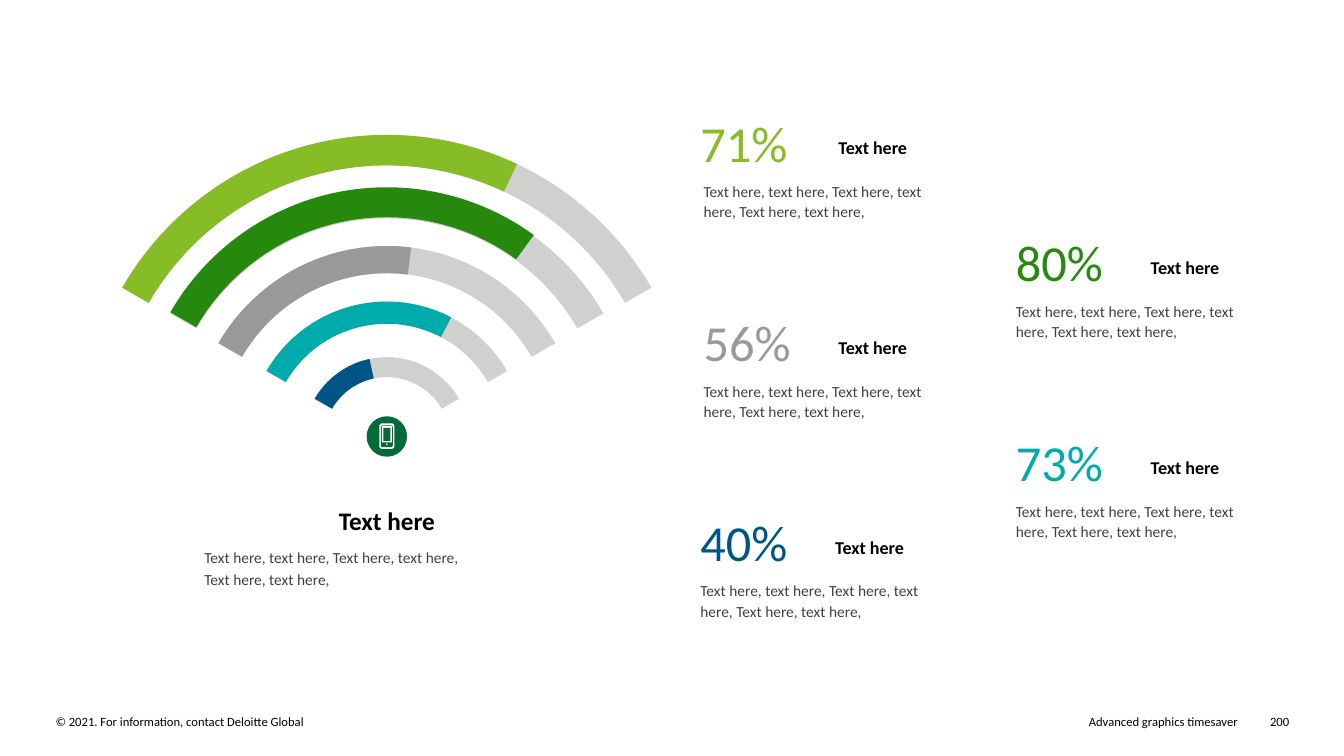
from pptx import Presentation
from pptx.dml.color import RGBColor
from pptx.enum.shapes import MSO_SHAPE as Shape
from pptx.enum.text import MSO_ANCHOR as Anchor, PP_ALIGN as Align
from pptx.util import Cm, Pt

BLACK = RGBColor(0x00, 0x00, 0x00)
WHITE = RGBColor(0xFF, 0xFF, 0xFF)
BODY = RGBColor(0x40, 0x40, 0x40)
TRACK = RGBColor(0xD0, 0xD0, 0xCE)
LIME = RGBColor(0x86, 0xBC, 0x25)
GREEN = RGBColor(0x26, 0x89, 0x0D)
GRAY = RGBColor(0x97, 0x99, 0x9B)
TEAL = RGBColor(0x00, 0xAB, 0xAB)
BLUE = RGBColor(0x00, 0x55, 0x87)
DARK_GREEN = RGBColor(0x04, 0x6A, 0x38)

FONT = "Calibri"
HEADING = "Text here"
BLURB = "Text here, text here, Text here, text here, Text here, text here,"
CENTER_X = 9.75
ARC_START, ARC_SWEEP = 126, 72

# percent, colour, band thickness, track centre y, value centre y, number x, text x
SIGNALS = [
    (71, LIME, 0.05, 11.1, 11.1, 17.4, 17.48),
    (80, GREEN, 0.06, 11.05, 11.02, 25.35, 25.35),
    (56, GRAY, 0.07, 11.1, 11.1, 17.48, 17.48),
    (73, TEAL, 0.08, 11.1, 11.1, 25.35, 25.35),
    (40, BLUE, 0.12, 11.1, 11.1, 17.4, 17.4),
]


def add_text(page, at, lines, size, color, bold=False, align=Align.LEFT,
             spacing=None, anchor=Anchor.TOP, inset=True):
    """Add a wrapped text box with one paragraph per line."""
    box = page.shapes.add_textbox(*map(Cm, at))
    frame = box.text_frame
    frame.word_wrap = True
    frame.vertical_anchor = anchor
    if not inset:
        frame.margin_left = frame.margin_right = 0
        frame.margin_top = frame.margin_bottom = 0
    frame.text = "\n".join(lines)
    for para in frame.paragraphs:
        para.alignment = align
        para.line_spacing = spacing
        para.font.name = FONT
        para.font.size = Pt(size)
        para.font.bold = bold
        para.font.color.rgb = color


def add_filled(page, kind, at, color):
    """Add a flat, borderless preset shape."""
    shape = page.shapes.add_shape(kind, *map(Cm, at))
    shape.shadow.inherit = False
    shape.fill.solid()
    shape.fill.fore_color.rgb = color
    shape.line.fill.background()
    return shape


def add_arc(page, diameter, center_y, percent, thickness, color):
    """Add a band covering a percentage of the signal sweep."""
    at = (CENTER_X - diameter / 2, center_y - diameter / 2, diameter, diameter)
    arc = add_filled(page, Shape.BLOCK_ARC, at, color)
    arc.adjustments[0] = ARC_START
    arc.adjustments[1] = ARC_START + ARC_SWEEP * percent / 100
    arc.adjustments[2] = thickness


def add_readout(page, index, percent, color, number_x, text_x):
    """Add a percentage with its heading and blurb."""
    top = 4.42 + 5.03 * (index // 2) + 3.02 * (index % 2)
    add_text(page, (text_x, top, 6.2, 1.32), [BLURB], 11, BODY, spacing=1.1)
    add_text(page, (number_x, top - 1.73, 4.67, 1.88), [f"{percent}%"], 36, color)
    add_text(page, (text_x + 3.4, top - 1.07, 3.35, 0.74), [HEADING], 12.9, BLACK,
             bold=True, anchor=Anchor.MIDDLE)


def add_phone_badge(page):
    """Add the round badge with a phone outline."""
    layers = [
        (Shape.OVAL, 10.49, 1.02, 1.02, DARK_GREEN),
        (Shape.ROUNDED_RECTANGLE, 10.67, 0.38, 0.64, WHITE),
        (Shape.ROUNDED_RECTANGLE, 10.72, 0.3, 0.55, DARK_GREEN),
        (Shape.RECTANGLE, 10.74, 0.25, 0.41, WHITE),
        (Shape.RECTANGLE, 10.78, 0.18, 0.33, DARK_GREEN),
        (Shape.OVAL, 11.18, 0.04, 0.04, WHITE),
    ]
    for kind, top, width, height, color in layers:
        add_filled(page, kind, (CENTER_X - width / 2, top, width, height), color)


def add_footer(page):
    """Add the copyright line, deck name and page number."""
    for left, width, text, align in [
        (1.4, 14.88, "© 2021. For information, contact Deloitte Global", Align.LEFT),
        (17.6, 13.59, "Advanced graphics timesaver", Align.RIGHT),
        (31.62, 0.87, "200", Align.RIGHT),
    ]:
        add_text(page, (left, 17.98, width, 0.38), [text], 9, BLACK,
                 align=align, inset=False)


def main():
    """Build and save the signal slide."""
    deck = Presentation()
    deck.slide_width, deck.slide_height = Cm(33.87), Cm(19.05)
    page = deck.slides.add_slide(deck.slide_layouts[6])
    add_footer(page)
    for index, signal in enumerate(SIGNALS):
        percent, color, thickness, track_y, value_y, number_x, text_x = signal
        diameter = 15.4 - 2.8 * index
        add_arc(page, diameter, track_y, 100, thickness, TRACK)
        add_arc(page, diameter, value_y, percent, thickness, color)
        add_readout(page, index, percent, color, number_x, text_x)
    add_phone_badge(page)
    add_text(page, (4.9, 12.62, 9.7, 0.97), [HEADING], 18, BLACK, bold=True,
             align=Align.CENTER)
    add_text(page, (4.9, 13.59, 9.7, 1.55),
             ["Text here, text here, Text here, text here,", "Text here, text here,"],
             11, BODY, spacing=1.2)
    deck.save("out.pptx")


if __name__ == "__main__":
    main()
